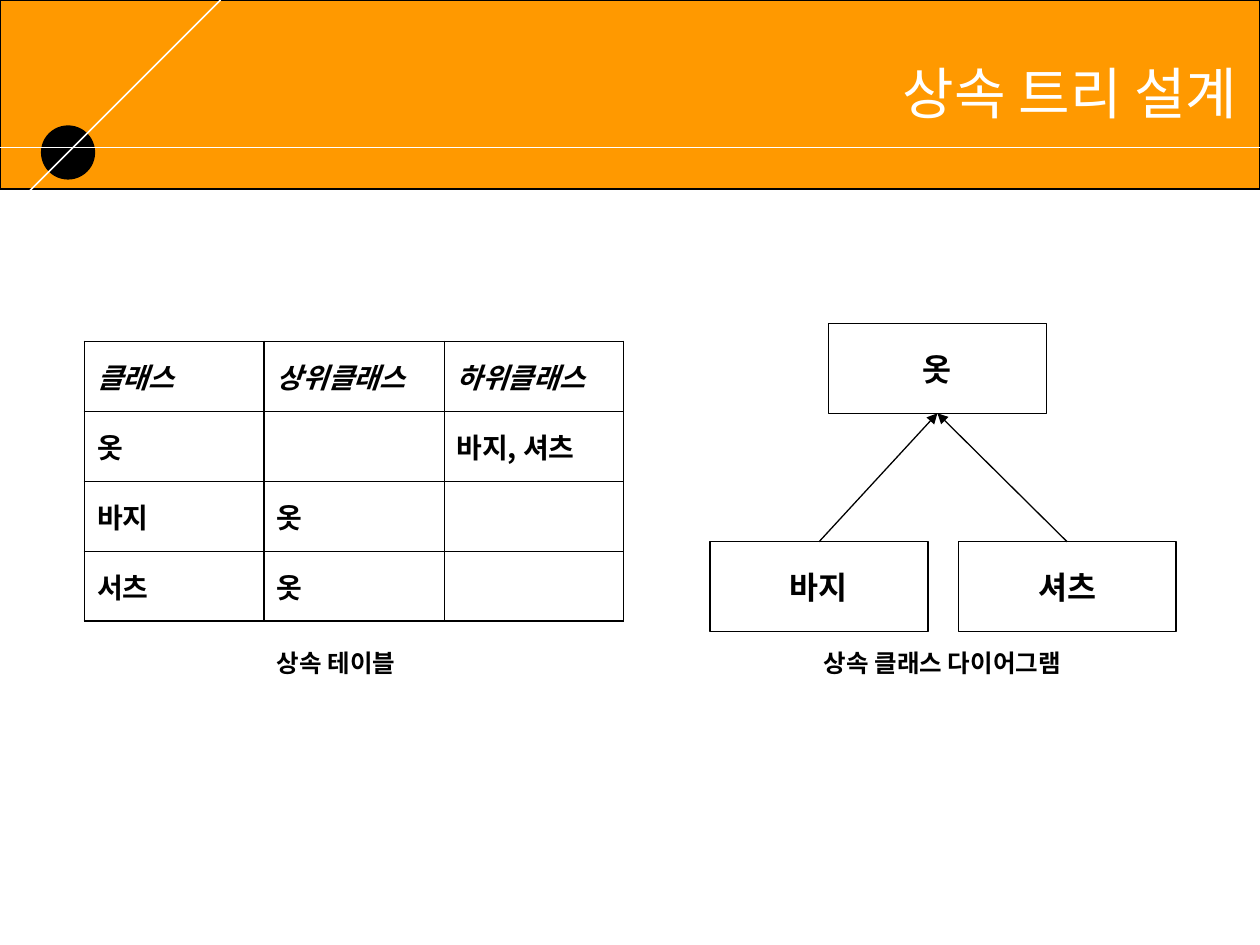
from dataclasses import dataclass

from lxml import etree
from pptx import Presentation
from pptx import util as u
from pptx.dml.color import RGBColor
from pptx.enum import shapes, text
from pptx.oxml import ns


@dataclass(frozen=True)
class Theme:
    font: str = "Noto Sans CJK KR"
    black: str = "000000"
    white: str = "FFFFFF"
    orange: str = "FF9900"
    gray: str = "C0C0C0"
    title: int = 32
    box: int = 18
    cell: int = 16
    caption: int = 14
    thin: float = 0.45
    outline: float = 0.75
    rule: float = 1
    thick: float = 1.08


def add_element(parent, tag, **attributes):
    return etree.SubElement(parent, ns.qn(tag), attributes)


class SlideBuilder:
    def __init__(self, slide, theme):
        self.slide = slide
        self.theme = theme
        slide.background.fill.solid()
        slide.background.fill.fore_color.rgb = RGBColor.from_string(theme.gray)

    def set_text(self, frame, content, size, color=None, bold=True, italic=False,
                 align=text.PP_ALIGN.LEFT, before=0):
        paragraph = frame.paragraphs[0]
        paragraph.text = content
        paragraph.alignment = align
        if before:
            paragraph.space_before = u.Pt(before)
        font = paragraph.font
        font.size = u.Pt(size)
        font.bold = bold
        font.italic = italic
        font.color.rgb = RGBColor.from_string(color or self.theme.black)
        font.name = self.theme.font
        properties = paragraph._p.pPr.find(ns.qn("a:defRPr"))
        add_element(properties, "a:ea", typeface=self.theme.font)

    def shape(self, kind, left, top, width, height, fill=None, outlined=True):
        shape = self.slide.shapes.add_shape(
            kind, u.Inches(left), u.Inches(top), u.Inches(width), u.Inches(height))
        shape.shadow.inherit = False
        if fill:
            shape.fill.solid()
            shape.fill.fore_color.rgb = RGBColor.from_string(fill)
        else:
            shape.fill.background()
        if outlined:
            shape.line.color.rgb = RGBColor.from_string(self.theme.black)
            shape.line.width = u.Pt(self.theme.outline)
        else:
            shape.line.fill.background()
        return shape

    def class_box(self, name, center, top, width=1.73, height=0.71):
        box = self.shape(shapes.MSO_SHAPE.RECTANGLE, center - width / 2, top, width, height)
        box.text_frame.word_wrap = False
        box.text_frame.vertical_anchor = text.MSO_ANCHOR.MIDDLE
        self.set_text(box.text_frame, name, self.theme.box, align=text.PP_ALIGN.CENTER)
        return box

    def line(self, start, end, color, width):
        line = self.slide.shapes.add_connector(
            shapes.MSO_CONNECTOR.STRAIGHT, *(u.Inches(value) for value in (*start, *end)))
        line.line.color.rgb = RGBColor.from_string(color)
        line.line.width = u.Pt(width)
        add_element(line._element.spPr, "a:effectLst")
        return line

    def inheritance_arrow(self, child, parent):
        arrow = self.line((0, 0), (1, 1), self.theme.black, self.theme.outline)
        arrow.begin_connect(child, 0)
        arrow.end_connect(parent, 2)
        add_element(arrow.line._get_or_add_ln(), "a:tailEnd", type="triangle")

    def text_box(self, content, left, top, width, height, size, wrap=False,
                 anchor=text.MSO_ANCHOR.TOP, **style):
        box = self.slide.shapes.add_textbox(
            u.Inches(left), u.Inches(top), u.Inches(width), u.Inches(height))
        box.text_frame.word_wrap = wrap
        box.text_frame.vertical_anchor = anchor
        self.set_text(box.text_frame, content, size, **style)

    def cell_borders(self, cell, edges):
        properties = cell._tc.get_or_add_tcPr()
        for side, is_thick in edges.items():
            width = u.Pt(self.theme.thick if is_thick else self.theme.thin)
            border = add_element(properties, f"a:ln{side}", w=str(width))
            fill = add_element(border, "a:solidFill")
            add_element(fill, "a:srgbClr", val=self.theme.black)

    def table(self, rows, left, top, width, height):
        row_count, column_count = len(rows), len(rows[0])
        table = self.slide.shapes.add_table(
            row_count, column_count, u.Inches(left), u.Inches(top),
            u.Inches(width), u.Inches(height)).table
        table.first_row = table.horz_banding = False
        thick_rows, thick_columns = {0, 1, row_count}, {0, 1, column_count}
        for i, row in enumerate(rows):
            for j, content in enumerate(row):
                cell = table.cell(i, j)
                cell.vertical_anchor = text.MSO_ANCHOR.MIDDLE
                self.cell_borders(cell, {
                    "L": j in thick_columns, "R": j + 1 in thick_columns,
                    "T": i in thick_rows, "B": i + 1 in thick_rows})
                cell.fill.background()
                if content:
                    self.set_text(cell.text_frame, content, self.theme.cell,
                                  italic=i == 0)


def main():
    presentation = Presentation()
    presentation.slide_width = u.Inches(10)
    presentation.slide_height = u.Inches(7.5)
    theme = Theme()
    builder = SlideBuilder(presentation.slides.add_slide(presentation.slide_layouts[6]), theme)

    rectangle = shapes.MSO_SHAPE.RECTANGLE
    builder.shape(rectangle, 0, 1.5, 10, 6, theme.white, outlined=False)
    builder.shape(rectangle, 0, 0, 10, 1.5, theme.orange)
    builder.shape(shapes.MSO_SHAPE.OVAL, 0.33, 1, 0.42, 0.42, theme.black)
    builder.line((0, 1.17), (10, 1.17), theme.white, theme.rule)
    builder.line((0, 1.75), (1.75, 0), theme.white, theme.rule)
    builder.text_box("상속 트리 설계", 1.42, 0.28, 8.5, 0.91, theme.title, wrap=True,
                     anchor=text.MSO_ANCHOR.MIDDLE, color=theme.white, bold=False,
                     align=text.PP_ALIGN.RIGHT)

    clothes = builder.class_box("옷", 7.44, 2.57)
    for name, center in (("바지", 6.5), ("셔츠", 8.47)):
        builder.inheritance_arrow(builder.class_box(name, center, 4.3), clothes)

    builder.table([
        ("클래스", "상위클래스", "하위클래스"),
        ("옷", "", "바지, 셔츠"),
        ("바지", "옷", ""),
        ("서츠", "옷", ""),
    ], 0.67, 2.71, 4.28, 2.22)

    for caption, left, width in (("상속 테이블", 2.1, 1.14), ("상속 클래스 다이어그램", 6.44, 2.08)):
        builder.text_box(caption, left, 5.09, width, 0.34, theme.caption)

    presentation.save("out.pptx")


if __name__ == "__main__":
    main()
